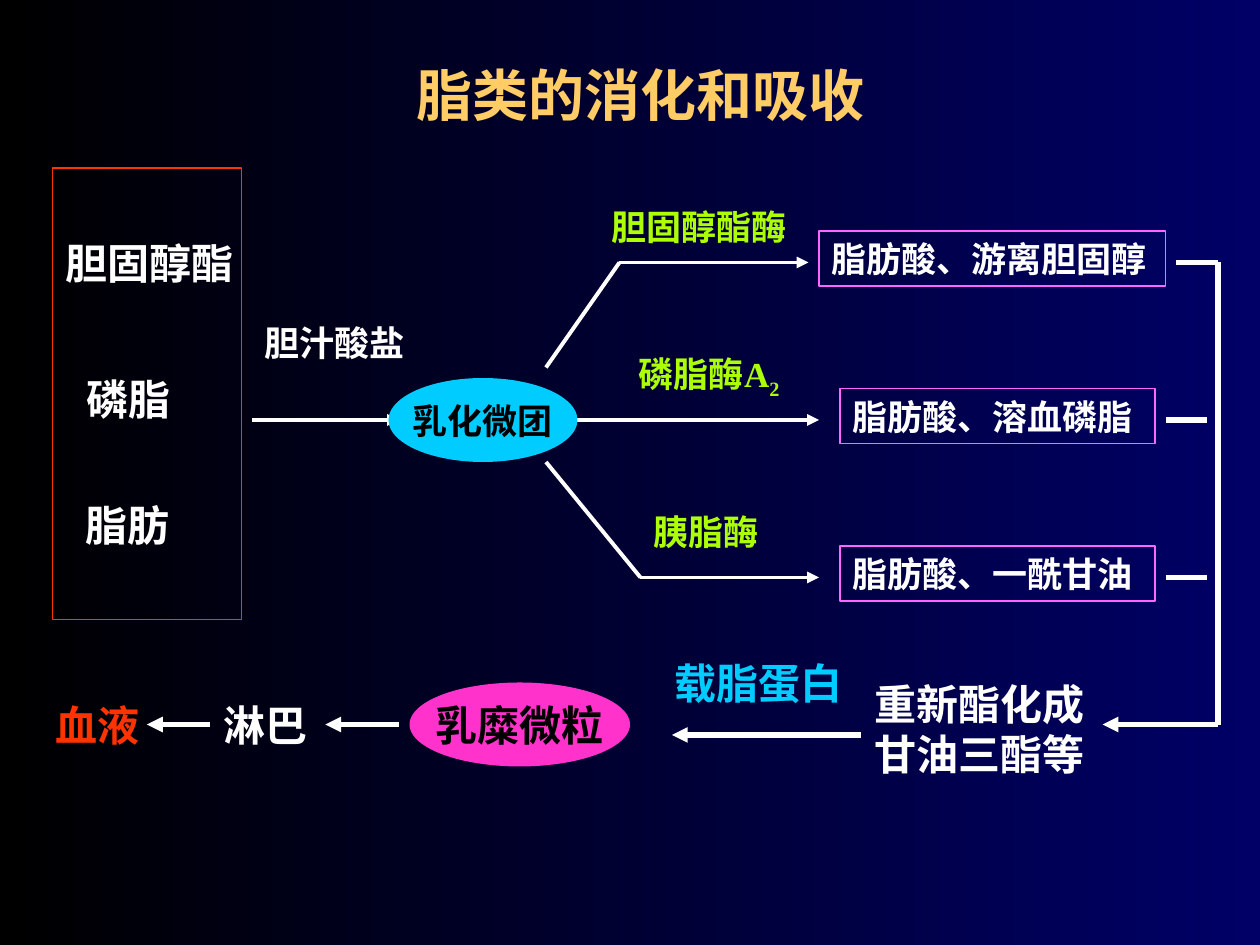
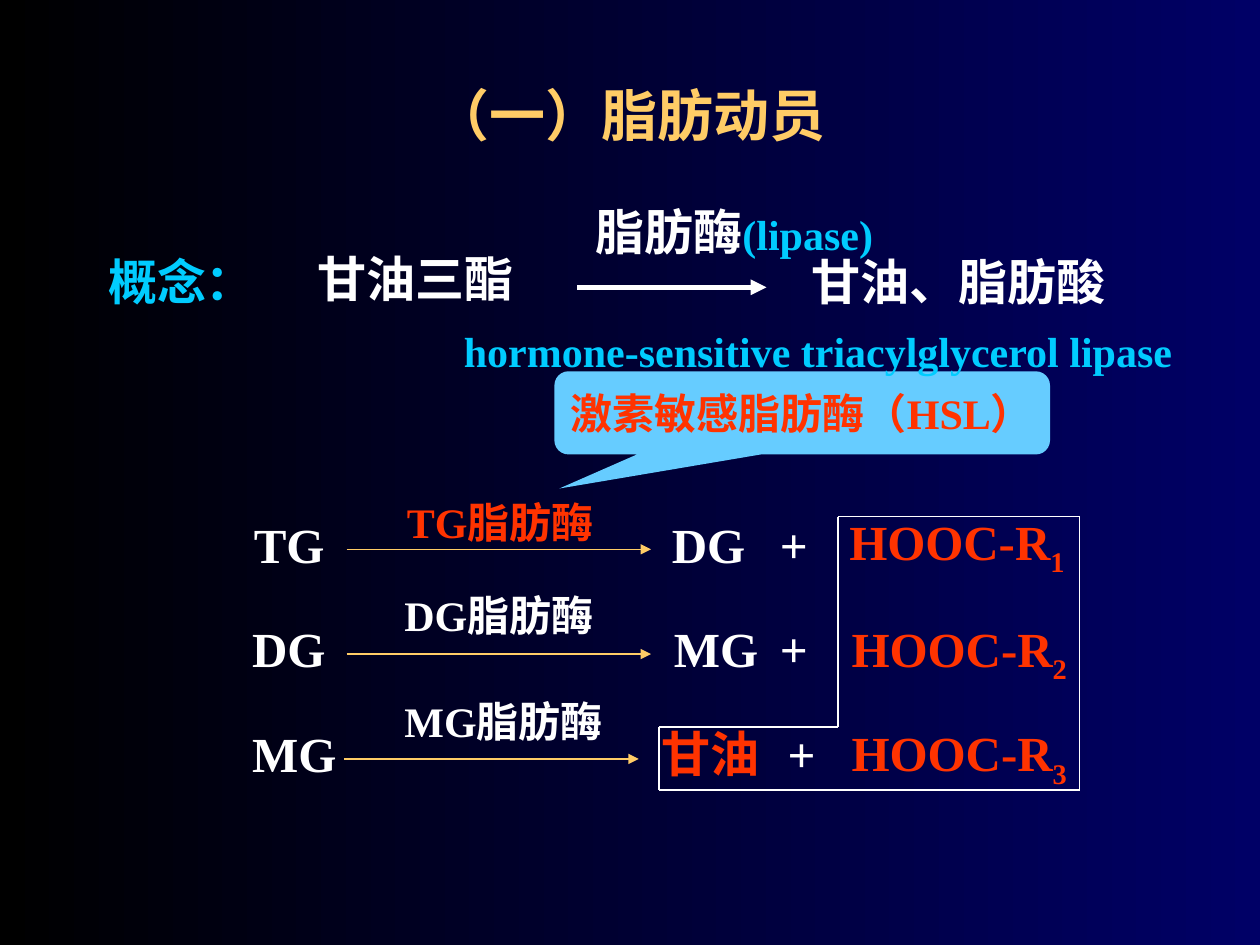
"""Build two slides on fat digestion, absorption and mobilisation."""
from lxml import etree
from pptx import Presentation
from pptx.dml.color import RGBColor
from pptx.enum import shapes, text
from pptx.oxml import ns
from pptx.util import Pt

FONT = "Times New Roman"
WHITE, BLACK, NAVY = "FFFFFF", "000000", "000066"
GOLD, LIME, CYAN, SKY = "FFCC66", "ACFF07", "00CCFF", "66CCFF"
RED, PINK, MAGENTA = "FF3300", "FF66FF", "FF33CC"
LABEL_SLACK = 2


def colour(value):
    """Return the colour for a hex string."""
    return RGBColor.from_string(value)


def set_background(master):
    """Give every slide the horizontal black-to-navy gradient."""
    fill = master.background.fill
    fill.gradient()
    fill.gradient_angle = 0
    for stop, value, position in zip(fill.gradient_stops, (BLACK, NAVY), (0, 1)):
        stop.color.rgb = colour(value)
        stop.position = position


def add_run(paragraph, words, size, value, subscript=False):
    """Append one bold run to a paragraph."""
    run = paragraph.add_run()
    run.text = words
    run.font.name, run.font.size, run.font.bold = FONT, Pt(size), True
    run.font.color.rgb = colour(value)
    if subscript:
        run._r.get_or_add_rPr().set("baseline", "-25000")


def add_title_slide(presentation, title, left, top, width, height):
    """Add a slide and place its title."""
    slide = presentation.slides.add_slide(presentation.slide_layouts[5])
    shape = slide.shapes.title
    shape.left, shape.top, shape.width, shape.height = map(Pt, (left, top, width, height))
    shape.text_frame.vertical_anchor = text.MSO_ANCHOR.MIDDLE
    paragraph = shape.text_frame.paragraphs[0]
    paragraph.alignment = text.PP_ALIGN.CENTER
    add_run(paragraph, title, 32, GOLD)
    return slide


def add_label(slide, words, left, top, width, size=24, value=WHITE, subscript=""):
    """Add an unwrapped text box and return its last paragraph."""
    lines = words.split("\n")
    height = size * 1.2 * len(lines) + 7.2
    shape = slide.shapes.add_textbox(
        Pt(left), Pt(top), Pt(width + LABEL_SLACK), Pt(height))
    frame = shape.text_frame
    frame.word_wrap = False
    frame.auto_size = text.MSO_AUTO_SIZE.SHAPE_TO_FIT_TEXT
    for index, line in enumerate(lines):
        paragraph = frame.add_paragraph() if index else frame.paragraphs[0]
        add_run(paragraph, line, size, value)
    if subscript:
        add_run(paragraph, subscript, size, value, subscript=True)
    return paragraph


def add_shape(slide, kind, left, top, width, height, fill=None, outline=None):
    """Add a preset shape with the given fill and outline, without shadow."""
    shape = slide.shapes.add_shape(kind, Pt(left), Pt(top), Pt(width), Pt(height))
    shape.shadow.inherit = False
    if fill:
        shape.fill.solid()
        shape.fill.fore_color.rgb = colour(fill)
    else:
        shape.fill.background()
    if outline:
        shape.line.color.rgb = colour(outline)
        shape.line.width = Pt(0.75)
    else:
        shape.line.fill.background()
    return shape


def write_in_shape(shape, words, size, value, alignment=text.PP_ALIGN.LEFT, wrap=False):
    """Write one vertically centred line in a shape."""
    frame = shape.text_frame
    frame.word_wrap = wrap
    frame.vertical_anchor = text.MSO_ANCHOR.MIDDLE
    frame.paragraphs[0].alignment = alignment
    add_run(frame.paragraphs[0], words, size, value)


def add_oval(slide, words, left, top, width, size, fill):
    """Add a filled oval with a centred caption."""
    shape = add_shape(slide, shapes.MSO_SHAPE.OVAL, left, top, width, 48, fill)
    write_in_shape(shape, words, size, BLACK, text.PP_ALIGN.CENTER)


def add_line(slide, start, end, width=3, value=WHITE, arrow=False):
    """Draw a straight line, with an arrowhead at its end if asked."""
    connector = slide.shapes.add_connector(
        shapes.MSO_CONNECTOR.STRAIGHT, *map(Pt, (*start, *end)))
    connector.line.color.rgb = colour(value)
    connector.line.width = Pt(width)
    if arrow:
        outline = connector.line._get_or_add_ln()
        etree.SubElement(outline, ns.qn("a:tailEnd"), type="triangle")
    etree.SubElement(connector._element.spPr, ns.qn("a:effectLst"))


def add_pathway(slide, y, enzyme, subscript, enzyme_place, product, box, arrow):
    """Draw one enzyme arrow, its product box and the stub to the bracket."""
    add_label(slide, enzyme, *enzyme_place, 20, LIME, subscript)
    left, width = box
    shape = add_shape(slide, shapes.MSO_SHAPE.RECTANGLE, left, y - 18, width, 31.5,
                      outline=PINK)
    write_in_shape(shape, product, 20, WHITE, wrap=True)
    add_line(slide, (arrow[0], y), (arrow[1], y), 2.25, arrow=True)
    stub = left + width + 6
    add_line(slide, (stub, y), (stub + 24, y))


def build_digestion(presentation):
    """Build the digestion and absorption flow."""
    slide = add_title_slide(presentation, "脂类的消化和吸收", 60, 30, 612, 48)
    add_shape(slide, shapes.MSO_SHAPE.RECTANGLE, 30, 96, 108, 258, outline=RED)
    for lipid, left, top, width in (
            ("胆固醇酯", 30.5, 132, 110), ("磷脂", 42.5, 210, 62), ("脂肪", 42, 282, 62)):
        add_label(slide, lipid, left, top, width)
    add_label(slide, "胆汁酸盐", 144, 180, 94.5, 20)
    add_line(slide, (144, 240), (228, 240), 2.25, arrow=True)

    pathways = (
        ("胆固醇酯酶", "", (342.5, 114, 114.5), "脂肪酸、游离胆固醇", (468, 198), (354, 462)),
        ("磷脂酶A", "2", (358, 198, 99), "脂肪酸、溶血磷脂", (480, 180), (330, 468)),
        ("胰脂酶", "", (366.5, 288, 74), "脂肪酸、一酰甘油", (480, 180), (366, 468)),
    )
    for index, pathway in enumerate(pathways):
        add_pathway(slide, 150 + 90 * index, *pathway)
    add_line(slide, (312, 210), (354, 150), 2.25)
    add_line(slide, (312, 264), (366, 330), 2.25)
    add_oval(slide, "乳化微团", 222, 216, 108, 20, CYAN)

    add_line(slide, (696, 150), (696, 414))
    for start, end, y in ((696, 630, 414), (492, 384, 420), (228, 186, 414), (120, 84, 414)):
        add_line(slide, (start, y), (end, y), arrow=True)
    add_label(slide, "重新酯化成\n甘油三酯等", 492.5, 384, 134)
    add_label(slide, "载脂蛋白", 378.5, 372, 110, value=CYAN)
    add_oval(slide, "乳糜微粒", 234, 390, 126, 24, MAGENTA)
    add_label(slide, "淋巴", 120.5, 396, 62)
    add_label(slide, "血液", 24.5, 396, 62, value=RED)


def add_reaction(slide, top, substrate, enzyme, arrow, product, plus_left, acid, number):
    """Draw one lipolysis step from substrate to product and fatty acid."""
    add_label(slide, *substrate[:2], top, substrate[2], 28)
    words, left, offset, width, value = enzyme
    add_label(slide, words, left, top + offset, width, value=value)
    add_line(slide, (arrow[0], top + 23.7), (arrow[1], top + 23.7), 0.75, GOLD, arrow=True)
    words, left, width, value = product
    add_label(slide, words, left, top, width, 28, value)
    add_label(slide, "+", plus_left, top, 30, 28)
    left, offset = acid
    add_label(slide, "HOOC-R", left, top + offset, 137.5, 28, RED, str(number))


def add_outline(slide, points):
    """Draw thin lines around the end products."""
    for start, end in zip(points, points[1:] + points[:1]):
        add_line(slide, start, end, 0.75)


def build_mobilisation(presentation):
    """Build the fat mobilisation reactions."""
    slide = add_title_slide(presentation, "（一）脂肪动员", 54, 32.4, 612, 66)
    add_label(slide, "概念：", 54.7, 140.2, 98, 28, CYAN)
    add_label(slide, "甘油三酯", 174.4, 138.4, 126, 28)
    add_label(slide, "甘油、脂肪酸", 456.6, 140.2, 182, 28)
    add_line(slide, (330, 164.2), (438, 164.2), arrow=True)
    lipase = add_label(slide, "脂肪酶", 333.3, 111.4, 179, 28)
    add_run(lipase, "(lipase)", 24, CYAN)

    reactions = (
        (("TG", 138, 55), ("TG脂肪酶", 225.4, -10, 127, RED), (198, 372),
         ("DG", 376.8, 56, WHITE), 438.5, (478.2, -1.5)),
        (("DG", 137, 56), ("DG脂肪酶", 224, -16.8, 128, WHITE), (198, 372),
         ("MG", 378, 63, WHITE), 438.5, (479.5, -0.5)),
        (("MG", 137, 63), ("MG脂肪酶", 224, -16.2, 133, WHITE), (196.5, 365),
         ("甘油", 371, 70, RED), 443, (479.5, -0.5)),
    )
    for index, reaction in enumerate(reactions):
        add_reaction(slide, 290.2 + 59.9 * index, *reaction, index + 1)
    add_outline(slide, ((478.8, 295.2), (616.9, 295.2), (616.9, 451.4), (376.6, 451.4),
                        (376.6, 415.4), (478.8, 415.4)))

    callout = add_shape(slide, shapes.MSO_SHAPE.ROUNDED_RECTANGULAR_CALLOUT,
                        316.8, 212.2, 283.2, 47.5, SKY)
    for index, adjustment in enumerate((-0.49, 0.91, 0.17)):
        callout.adjustments[index] = adjustment
    write_in_shape(callout, "激素敏感脂肪酶（HSL）", 24, RED)
    add_label(slide, "hormone-sensitive triacylglycerol lipase", 258, 182.4, 420, value=CYAN)


def main():
    """Create the presentation and save it."""
    presentation = Presentation()
    presentation.slide_width, presentation.slide_height = Pt(720), Pt(540)
    set_background(presentation.slide_master)
    build_digestion(presentation)
    build_mobilisation(presentation)
    presentation.save("out.pptx")


if __name__ == "__main__":
    main()
